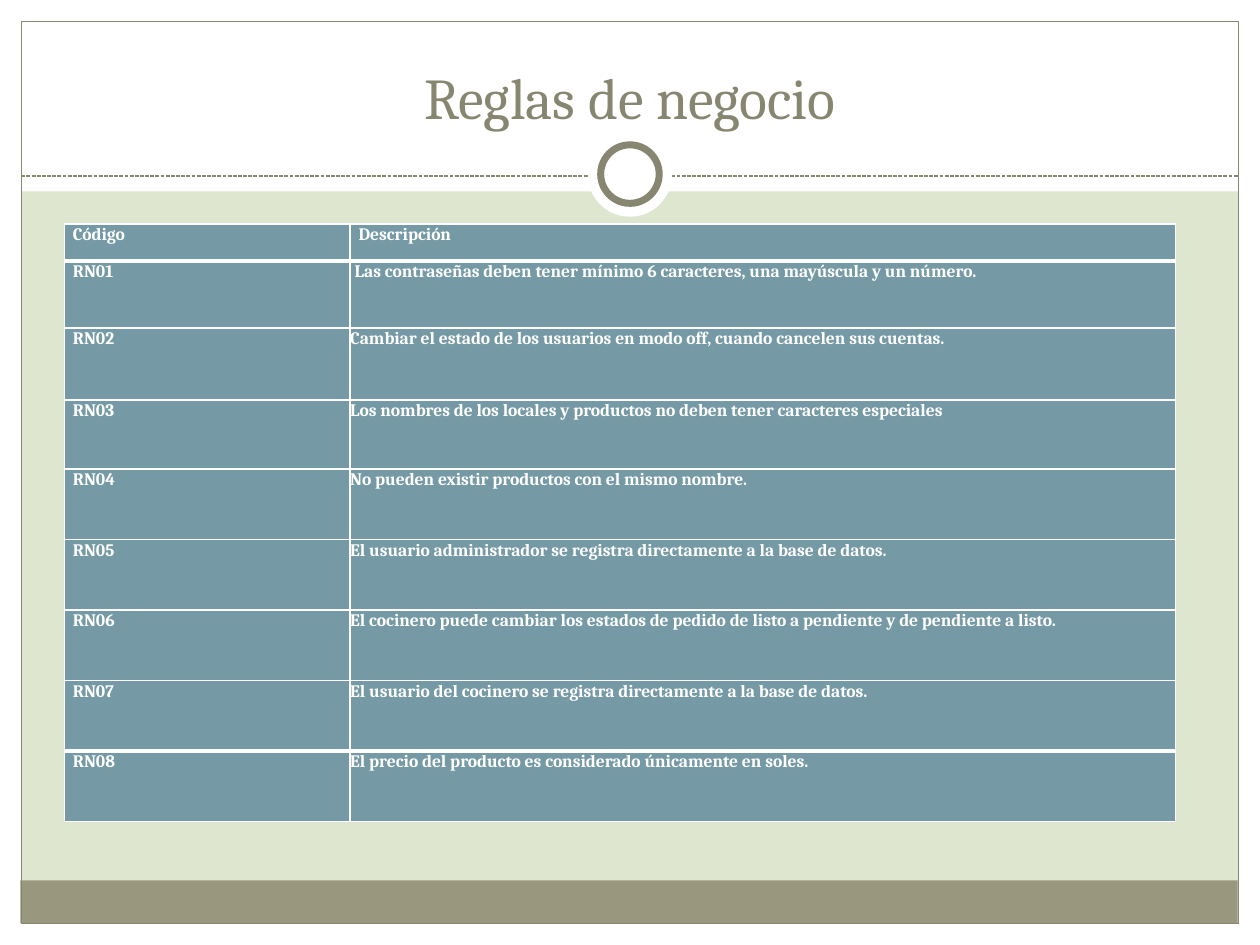
from dataclasses import dataclass
from typing import Optional

from lxml.etree import SubElement
from pptx import Presentation
from pptx.dml.color import RGBColor
from pptx.enum.dml import MSO_LINE
from pptx.enum.shapes import MSO_CONNECTOR, MSO_SHAPE as SHAPE
from pptx.enum.text import MSO_ANCHOR, PP_ALIGN
from pptx.oxml import parse_xml
from pptx.oxml.ns import nsdecls, qn
from pptx.util import Cm, Pt


@dataclass(frozen=True)
class Theme:
    """Colours, font and type sizes of the slide."""
    white: str = "FFFFFF"
    page: str = "DFE6D0"
    band: str = "99987F"
    accent: str = "878670"
    cell: str = "759AA5"
    font: str = "Cambria"
    title_size: float = 33
    table_size: float = 10


@dataclass(frozen=True)
class Panel:
    """A frame shape; lengths in cm, line width in points."""
    left: float
    top: float
    width: float
    height: float
    fill: Optional[str] = None
    line: Optional[str] = None
    weight: float = 0.75
    kind: SHAPE = SHAPE.RECTANGLE


@dataclass(frozen=True)
class Rule:
    """A table row: code, description, height and description inset in cm."""
    code: str
    text: str
    height: float = 1.42
    inset: float = 0
    before: float = 0


T = Theme()
W, H, EDGE = 25.4, 19.05, 0.43
INDENT = 0.17

PANELS = [
    Panel(0, H - EDGE, W, EDGE, T.white),
    Panel(0, 0, W, 3.86, T.white),
    Panel(0, 0, EDGE, H, T.white),
    Panel(W - EDGE, 0, EDGE, H, T.white),
    Panel(0.41, 17.75, 24.54, 0.86, T.band),
    Panel(EDGE, EDGE, W - 2 * EDGE, H - 2 * EDGE, None, T.accent),
]
RINGS = [
    Panel(11.85, 2.67, 1.7, 1.7, T.white, kind=SHAPE.OVAL),
    Panel(12.11, 2.92, 1.18, 1.18, T.white, T.accent, 4, SHAPE.OVAL),
]
RULES = [
    Rule("Código", "Descripción", 0.74, INDENT, 1.4),
    Rule("RN01", "Las contraseñas deben tener mínimo 6 caracteres, "
         "una mayúscula y un número.", 1.35, 0.09, 1.7),
    Rule("RN02", "Cambiar el estado de los usuarios en modo off, "
         "cuando cancelen sus cuentas.", 1.45),
    Rule("RN03", "Los nombres de los locales y productos no deben tener "
         "caracteres especiales", 1.4),
    Rule("RN04", "No pueden existir productos con el mismo nombre."),
    Rule("RN05", "El usuario administrador se registra directamente a la base de datos."),
    Rule("RN06", "El cocinero puede cambiar los estados de pedido de listo a "
         "pendiente y de pendiente a listo."),
    Rule("RN07", "El usuario del cocinero se registra directamente a la base de datos."),
    Rule("RN08", "El precio del producto es considerado únicamente en soles."),
]


def rgb(value: str) -> RGBColor:
    """Turn a hex string into a colour."""
    return RGBColor.from_string(value)


def apply(target, values: dict) -> None:
    """Set attributes from a dict of format values."""
    for name, value in values.items():
        setattr(target, name, value)


def add_panel(shapes, panel: Panel) -> None:
    """Draw one frame shape."""
    sp = shapes.add_shape(panel.kind, Cm(panel.left), Cm(panel.top),
                          Cm(panel.width), Cm(panel.height))
    sp.shadow.inherit = False
    if panel.fill:
        sp.fill.solid()
        sp.fill.fore_color.rgb = rgb(panel.fill)
    else:
        sp.fill.background()
    if panel.line:
        sp.line.color.rgb = rgb(panel.line)
        sp.line.width = Pt(panel.weight)
    else:
        sp.line.fill.background()


def add_divider(shapes, y: float) -> None:
    """Draw the dashed line under the title."""
    line = shapes.add_connector(MSO_CONNECTOR.STRAIGHT, Cm(EDGE), Cm(y), Cm(W - EDGE), Cm(y))
    line.line.color.rgb = rgb(T.accent)
    apply(line.line, {"width": Pt(0.75), "dash_style": MSO_LINE.SQUARE_DOT})
    SubElement(line.element.spPr, qn("a:effectLst"))


def style_run(r, size: float, color: str, bold: bool) -> None:
    """Format a run."""
    apply(r.font, {"name": T.font, "size": Pt(size), "bold": bold})
    r.font.color.rgb = rgb(color)


def set_title(title, text: str) -> None:
    """Place and format the title in front of the frame."""
    title.element.getparent().append(title.element)
    apply(title, {"left": Cm(0.85), "top": Cm(0.64), "width": Cm(23.7), "height": Cm(2.12)})
    tf = title.text_frame
    apply(tf, {"vertical_anchor": MSO_ANCHOR.BOTTOM, "word_wrap": True})
    p = tf.paragraphs[0]
    p.alignment = PP_ALIGN.CENTER
    r = p.add_run()
    r.text = text
    style_run(r, T.title_size, T.accent, False)


def set_borders(cell, top: float, bottom: float) -> None:
    """Give a cell white borders; widths in points."""
    tc_pr = cell._tc.get_or_add_tcPr()
    for i, (side, width) in enumerate(zip("LRTB", (1, 1, top, bottom))):
        tc_pr.insert(i, parse_xml(
            f'<a:ln{side} {nsdecls("a")} w="{Pt(width)}"><a:solidFill>'
            f'<a:srgbClr val="{T.white}"/></a:solidFill></a:ln{side}>'))


def fill_cell(cell, text: str, inset: float, before: float) -> None:
    """Write and format one table cell."""
    apply(cell, {"margin_left": Cm(inset), "margin_right": 0,
                 "margin_top": 0, "margin_bottom": 0})
    cell.fill.solid()
    cell.fill.fore_color.rgb = rgb(T.cell)
    p = cell.text_frame.paragraphs[0]
    apply(p, {"line_spacing": Pt(12), "space_before": Pt(before)})
    r = p.add_run()
    r.text = text
    style_run(r, T.table_size, T.white, True)


def add_rules(shapes) -> None:
    """Build the table of business rules."""
    widths = (5.76, 16.64)
    table = shapes.add_table(len(RULES), 2, Cm(1.3), Cm(4.52), Cm(sum(widths)),
                             Cm(sum(rule.height for rule in RULES))).table
    for col, width in zip(table.columns, widths):
        col.width = Cm(width)
    thick = {1, len(RULES) - 1}
    for i, rule in enumerate(RULES):
        table.rows[i].height = Cm(rule.height)
        fill_cell(table.cell(i, 0), rule.code, INDENT, 1.4)
        fill_cell(table.cell(i, 1), rule.text, rule.inset, rule.before)
        for cell in table.rows[i].cells:
            set_borders(cell, 3 if i in thick else 1, 3 if i + 1 in thick else 1)


def main() -> None:
    """Build and save the slide."""
    prs = Presentation()
    apply(prs, {"slide_width": Cm(W), "slide_height": Cm(H)})
    s = prs.slides.add_slide(prs.slide_layouts[5])
    s.background.fill.solid()
    s.background.fill.fore_color.rgb = rgb(T.page)
    for panel in PANELS:
        add_panel(s.shapes, panel)
    add_divider(s.shapes, 3.55)
    for ring in RINGS:
        add_panel(s.shapes, ring)
    set_title(s.shapes.title, "Reglas de negocio")
    add_rules(s.shapes)
    prs.save("out.pptx")


main()
